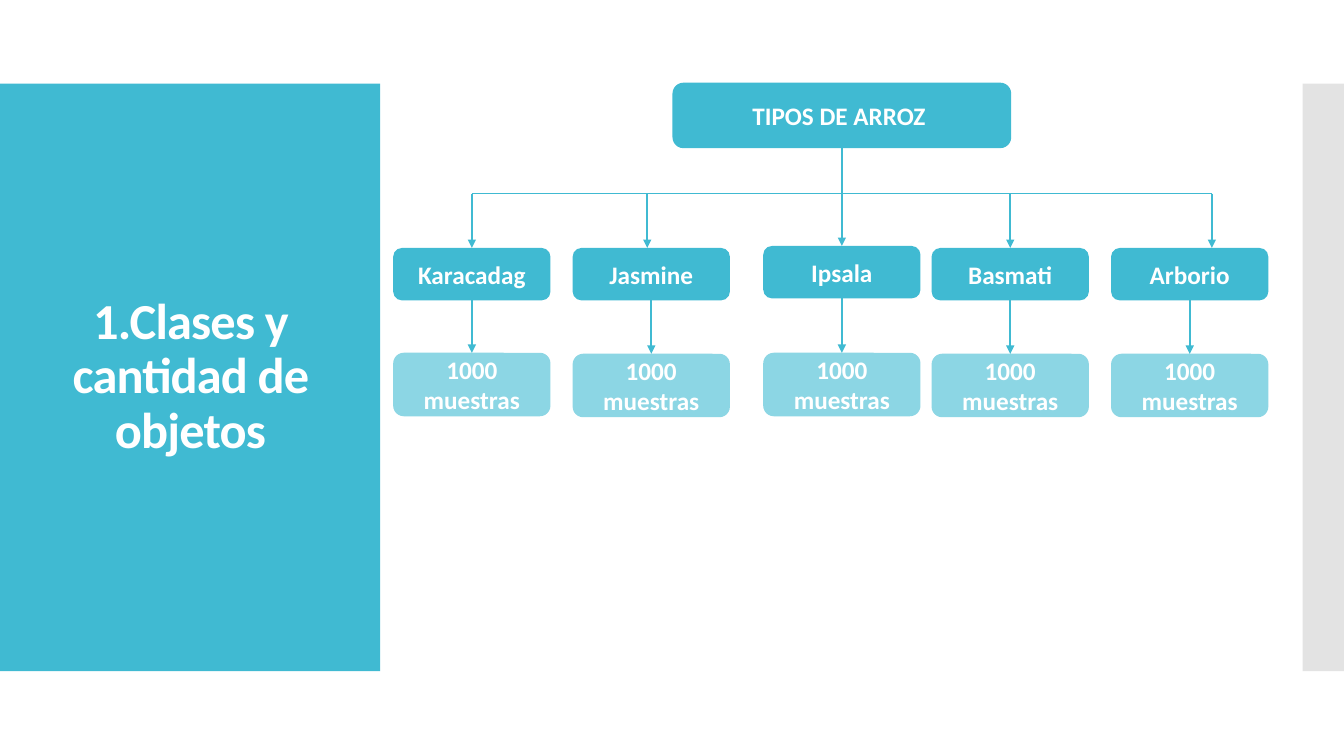
from pptx import Presentation
from pptx.dml.color import RGBColor
from pptx.enum.shapes import MSO_CONNECTOR, MSO_SHAPE
from pptx.enum.text import MSO_ANCHOR, MSO_AUTO_SIZE, PP_ALIGN
from pptx.oxml.ns import qn
from pptx.util import Inches, Pt
from lxml.etree import SubElement

COLORS = {name: RGBColor.from_string(value) for name, value in {
    "teal": "40BAD2", "light_teal": "8CD6E4", "gray": "E3E3E3", "white": "FFFFFF",
}.items()}
BOX_W, TYPE_H, COUNT_H = 1.56, 0.52, 0.63
RAIL_Y = 1.92

# Name, box left, box top, x of the drop from the rail, top of the count box
RICE_TYPES = [
    ("Karacadag", 3.9, 2.46, 4.68, 3.5),
    ("Jasmine", 5.68, 2.46, 6.42, 3.51),
    ("Ipsala", 7.57, 2.44, 8.35, 3.5),
    ("Basmati", 9.24, 2.46, 10.02, 3.51),
    ("Arborio", 11.02, 2.46, 12.02, 3.51),
]


def add_box(left, top, width, height, color, text="", kind=MSO_SHAPE.ROUNDED_RECTANGLE):
    sp = s.shapes.add_shape(kind, Inches(left), Inches(top), Inches(width), Inches(height))
    sp.shadow.inherit = False
    sp.fill.solid()
    sp.fill.fore_color.rgb = COLORS[color]
    sp.line.fill.background()
    if text:
        tf = sp.text_frame
        tf.text = text
        tf.word_wrap = True
        tf.vertical_anchor = MSO_ANCHOR.MIDDLE
        p = tf.paragraphs[0]
        p.alignment = PP_ALIGN.CENTER
        font = p.runs[0].font
        font.name, font.size, font.bold = "Calibri", Pt(18), True
        font.color.rgb = COLORS["white"]
    return sp


def add_line(x1, y1, x2, y2, width=1.5, arrow=True):
    line = s.shapes.add_connector(
        MSO_CONNECTOR.STRAIGHT, Inches(x1), Inches(y1), Inches(x2), Inches(y2))
    line.line.color.rgb = COLORS["teal"]
    line.line.width = Pt(width)
    if arrow:
        SubElement(line.line._get_or_add_ln(), qn("a:tailEnd"), type="triangle")
    SubElement(line._element.spPr, qn("a:effectLst"))
    return line


prs = Presentation()
prs.slide_width, prs.slide_height = Inches(13.33), Inches(7.5)
s = prs.slides.add_slide(prs.slide_layouts[5])

# Side panels and title
add_box(0, 0.83, 3.77, 5.83, "teal", kind=MSO_SHAPE.RECTANGLE)
add_box(12.92, 0.83, 0.41, 5.83, "gray", kind=MSO_SHAPE.RECTANGLE)

title = s.shapes.title
title.left, title.top, title.width, title.height = map(Inches, (0.28, 1.23, 3.22, 5.03))
s.shapes._spTree.append(title._element)  # in front of the panels
tf = title.text_frame
tf.text = "1.Clases y cantidad de objetos"
tf.word_wrap = True
tf.auto_size = MSO_AUTO_SIZE.NONE
tf.vertical_anchor = MSO_ANCHOR.MIDDLE
p = tf.paragraphs[0]
p.alignment = PP_ALIGN.CENTER
p.line_spacing = 0.9
r = p.runs[0]
r.font.name, r.font.size, r.font.bold = "Calibri", Pt(36), True
r.font.color.rgb = COLORS["white"]
r._r.get_or_add_rPr().set("spc", "-60")

# Root of the tree, trunk and rail
root = add_box(6.67, 0.82, 3.36, 0.65, "teal", "TIPOS DE ARROZ ")
trunk = add_line(8.35, 1.47, 8.35, RAIL_Y, width=1, arrow=False)
trunk.begin_connect(root, 2)
add_line(RICE_TYPES[0][3], RAIL_Y, RICE_TYPES[-1][3], RAIL_Y, width=1, arrow=False)

# One branch for each type of rice
for name, left, top, drop_x, count_top in RICE_TYPES:
    center = left + BOX_W / 2
    rice = add_box(left, top, BOX_W, TYPE_H, "teal", name)
    count = add_box(left, count_top, BOX_W, COUNT_H, "light_teal", "1000 muestras")
    drop = add_line(drop_x, RAIL_Y, drop_x, top)
    if abs(drop_x - center) < 0.01:
        drop.end_connect(rice, 0)
    arrow = add_line(center, top + TYPE_H, center, count_top)
    arrow.begin_connect(rice, 2)
    arrow.end_connect(count, 0)

prs.save("out.pptx")
